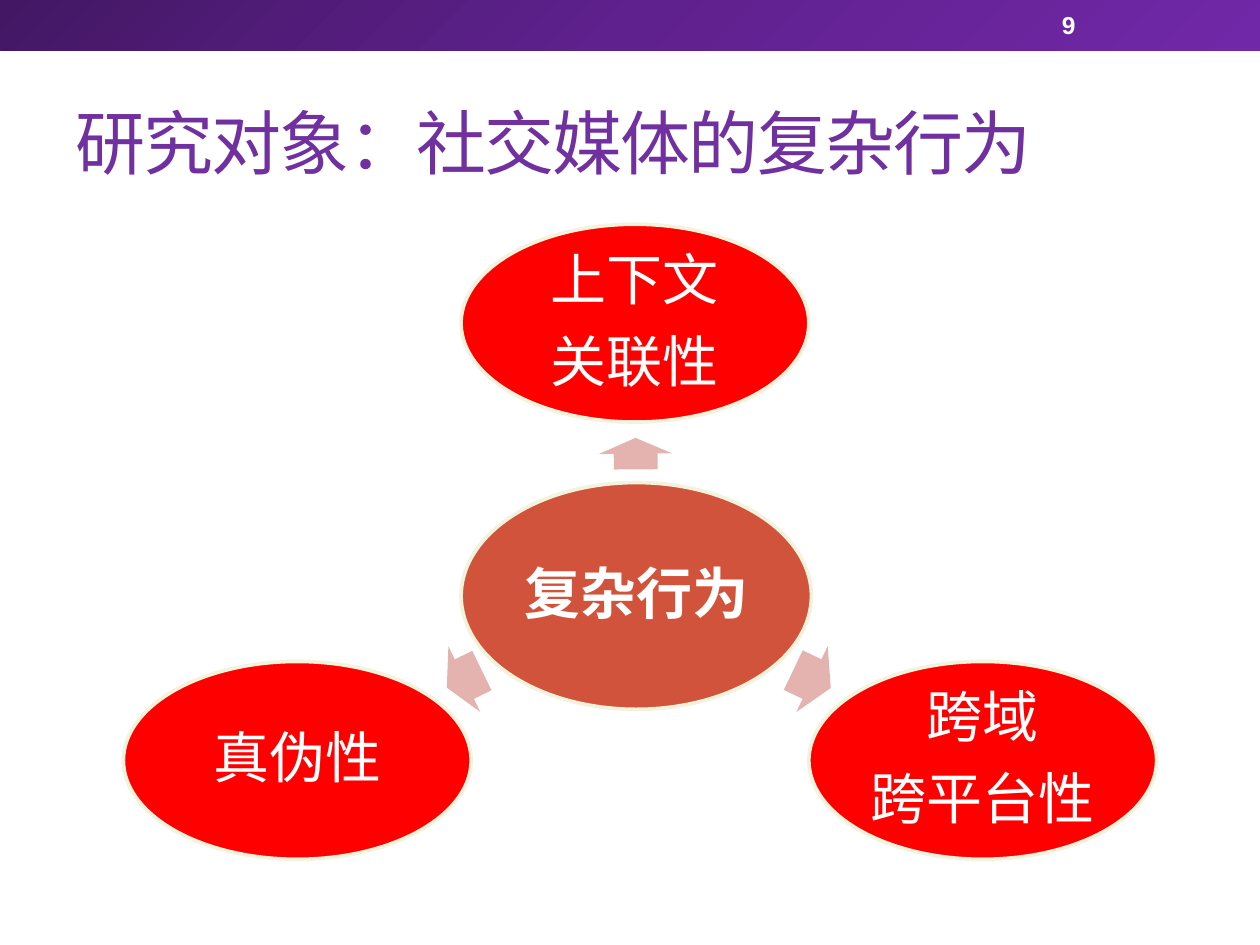
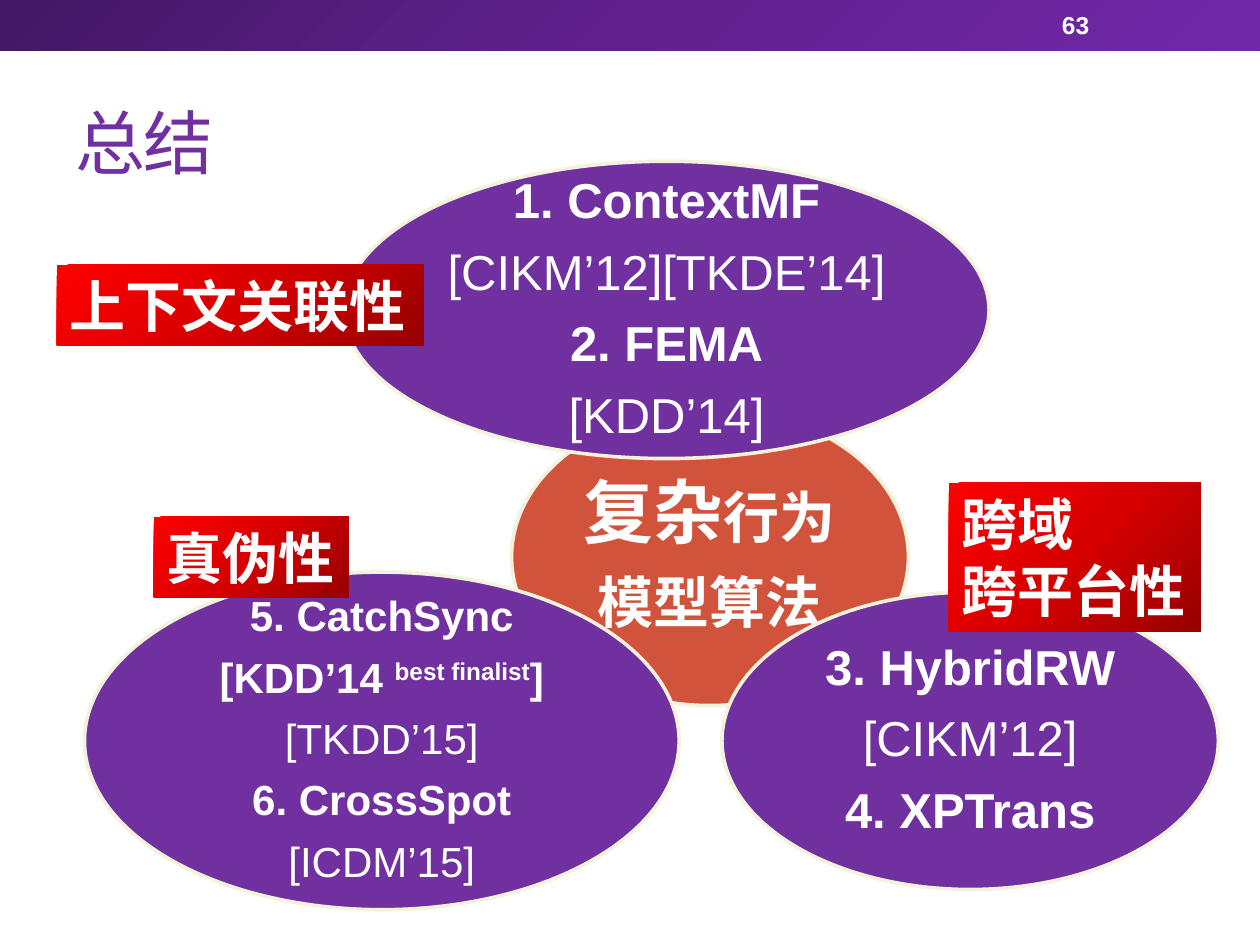
"""Build two slides on complex behaviour in social media."""
import pptx
import pptx.dml.color
import pptx.enum.shapes
import pptx.enum.text
import pptx.oxml
import pptx.oxml.ns
import pptx.util

RGB = pptx.dml.color.RGBColor
MSO = pptx.enum.shapes.MSO_SHAPE
ALIGN = pptx.enum.text.PP_ALIGN
PURPLE = RGB(0x70, 0x30, 0xA0)
RED = RGB(0xFF, 0x00, 0x00)
BRICK = RGB(0xD2, 0x53, 0x3C)
PINK = RGB(0xE5, 0xB3, 0xAF)
CREAM = RGB(0xF3, 0xF2, 0xDC)
WHITE = RGB(0xFF, 0xFF, 0xFF)
BAND_STOPS = (RGB(0x43, 0x17, 0x64), RGB(0x5F, 0x21, 0x8E), RGB(0x71, 0x28, 0xA8))
LABEL_STOPS = (RGB(0x97, 0x00, 0x00), RGB(0xD7, 0x00, 0x00), RED)
DIAGONAL = '<a:lin ang="2700000" scaled="0"/>'
FROM_CORNER = '<a:path path="circle"><a:fillToRect l="100000" t="100000"/></a:path>'

prs = pptx.Presentation()
prs.slide_width = pptx.util.Inches(10)
prs.slide_height = pptx.util.Inches(7.5)
COL = prs.slide_width / 100
ROW = prs.slide_height / 75


def write(sp, paragraphs, color=WHITE, align=ALIGN.LEFT, inset=None, spaced=False):
    """Fill a shape with paragraphs of (text, size, bold, baseline) runs."""
    tf = sp.text_frame
    tf.word_wrap = True
    tf.vertical_anchor = pptx.enum.text.MSO_ANCHOR.MIDDLE
    if inset is not None:
        tf.margin_left = tf.margin_right = int(inset * COL)
        tf.margin_top = tf.margin_bottom = int(inset * ROW)
    for i, runs in enumerate(paragraphs):
        p = tf.add_paragraph() if i else tf.paragraphs[0]
        p.alignment = align
        if spaced:
            p.line_spacing = 0.9
            p.space_after = pptx.util.Pt(round(runs[-1][1] * 0.38, 1))
        for text, size, bold, baseline in runs:
            r = p.add_run()
            r.text = text
            r.font.name = "Arial"
            r.font.size = pptx.util.Pt(size)
            r.font.bold = bold
            r.font.color.rgb = color
            if baseline:
                r.font._element.set("baseline", str(baseline * 1000))


def add_shape(s, kind, x, y, w, h, fill, direction=None):
    """Add a flat shape on the grid, filled with one colour or a gradient."""
    sp = s.shapes.add_shape(kind, int(x * COL), int(y * ROW), int(w * COL), int(h * ROW))
    sp.shadow.inherit = False
    sp.line.fill.background()
    if direction is None:
        sp.fill.solid()
        sp.fill.fore_color.rgb = fill
    else:
        stops = "".join(f'<a:gs pos="{i * 50000}"><a:srgbClr val="{c}"/></a:gs>'
                        for i, c in enumerate(fill))
        sp._element.spPr.find(pptx.oxml.ns.qn("a:prstGeom")).addnext(pptx.oxml.parse_xml(
            f'<a:gradFill {pptx.oxml.ns.nsdecls("a")} rotWithShape="1">'
            f'<a:gsLst>{stops}</a:gsLst>{direction}</a:gradFill>'))
    return sp


slides = []
for title, number in (("研究对象：社交媒体的复杂行为", "9"), ("总结", "63")):
    s = prs.slides.add_slide(prs.slide_layouts[6])
    add_shape(s, MSO.RECTANGLE, 0, 0, 100, 4, BAND_STOPS, DIAGONAL)
    sp = s.shapes.add_textbox(int(5 * COL), int(5.8 * ROW), int(90 * COL), int(10.8 * ROW))
    write(sp, [[(title, 40, False, 0)]], PURPLE)
    sp.text_frame.paragraphs[0].runs[0].font._element.set("spc", "-100")
    sp = s.shapes.add_textbox(int(83.3 * COL), int(0.2 * ROW), int(11.7 * COL), int(3.6 * ROW))
    write(sp, [[(number, 14, True, 0)]])
    slides.append(s)
behaviour, summary = slides

for x, y, w, turn in ((49.2, 33.1, 2.5, 269.6), (62.8, 51, 3.3, 25.5), (35.3, 51, 3.1, 154.1)):
    sp = add_shape(behaviour, MSO.RIGHT_ARROW, x, y, w, 5.8, PINK)
    sp.adjustments[0] = 0.6
    sp.adjustments[1] = 0.5
    sp.rotation = turn

ellipses = (
    (behaviour, BRICK, 36.6, 38.3, 27.8, 18, 0.4, [[("复杂行为", 32, True, 0)]]),
    (behaviour, RED, 36.6, 17.8, 27.6, 15.7, 0.4,
     [[("上下文", 32, False, 0)], [("关联性", 32, False, 0)]]),
    (behaviour, RED, 64.2, 52.5, 27.6, 15.7, 0.4,
     [[("跨域", 32, False, 0)], [("跨平台性", 32, False, 0)]]),
    (behaviour, RED, 9.8, 52.5, 27.6, 15.7, 0.4, [[("真伪性", 32, False, 0)]]),
    (summary, BRICK, 40.6, 32.4, 31.5, 23.6, 0.6,
     [[("复杂", 40, True, 0), ("行为", 32, True, 0)], [("模型算法", 32, True, 0)]]),
    (summary, PURPLE, 27.3, 12.8, 51.2, 23.6, 0.4,
     [[("1. ContextMF", 28, True, 0)], [("[CIKM’12][TKDE’14]", 28, False, 0)],
      [("2. FEMA", 28, True, 0)], [("[KDD’14]", 28, False, 0)]]),
    (summary, PURPLE, 57.3, 47, 39.4, 23.6, 0.4,
     [[("3. HybridRW", 28, True, 0)], [("[CIKM’12]", 28, False, 0)],
      [("4. XPTrans", 28, True, 0)]]),
    (summary, PURPLE, 6.7, 45.4, 47.2, 26.8, 0.3,
     [[("5. CatchSync", 24, True, 0)],
      [("[KDD’14 ", 24, True, 0), ("best finalist", 24, True, 30), ("]", 24, True, 0)],
      [("[TKDD’15]", 24, False, 0)], [("6. CrossSpot", 24, True, 0)],
      [("[ICDM’15]", 24, False, 0)]]),
)
for s, fill, x, y, w, h, inset, paragraphs in ellipses:
    sp = add_shape(s, MSO.OVAL, x, y, w, h, fill)
    sp.line.color.rgb = CREAM
    sp.line.width = pptx.util.Pt(2.08)
    write(sp, paragraphs, align=ALIGN.CENTER, inset=inset, spaced=True)

for x, y, w, h, lines in ((4.5, 21, 29.1, 6.4, ["上下文关联性"]),
                          (75.3, 38.3, 20, 11.8, ["跨域", "跨平台性"]),
                          (12.2, 41, 15.5, 6.4, ["真伪性"])):
    sp = add_shape(summary, MSO.RECTANGLE, x, y, w, h, LABEL_STOPS, FROM_CORNER)
    write(sp, [[(line, 32, True, 0)] for line in lines])
    sp.text_frame.word_wrap = False

prs.save("out.pptx")
